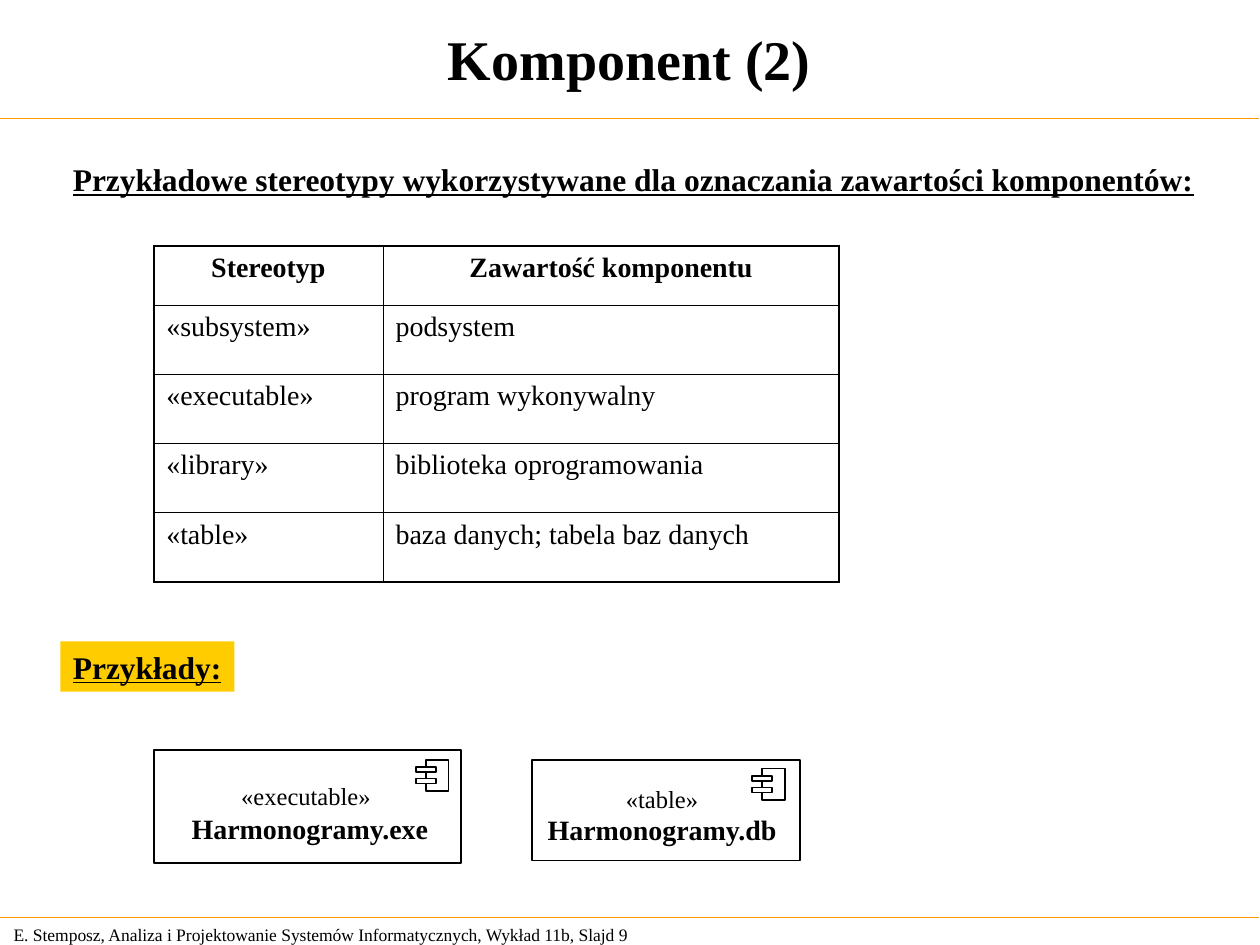
from pptx import Presentation
from pptx.dml.color import RGBColor
from pptx.enum.shapes import MSO_CONNECTOR as Link, MSO_SHAPE as Shape
from pptx.enum.text import MSO_ANCHOR as Anchor, PP_ALIGN as Align
from pptx.oxml.ns import qn
from pptx.util import Inches, Pt
from lxml.etree import SubElement

FONT = "Times New Roman"
BLACK, WHITE, ORANGE, YELLOW = "000000", "FFFFFF", "FF9900", "FFCC00"
STEREOTYPES = [
    ("Stereotyp", "Zawartość komponentu"),
    ("«subsystem»", "podsystem"),
    ("«executable»", "program wykonywalny"),
    ("«library»", "biblioteka oprogramowania"),
    ("«table»", "baza danych; tabela baz danych"),
]


def color(code):
    return RGBColor.from_string(code)


def inches(*values):
    return [Inches(v) for v in values]


def add_run(para, text, size, bold=False, under=False):
    run = para.add_run()
    run.text = text
    font = run.font
    font.name, font.size = FONT, Pt(size)
    font.bold, font.underline = bold, under
    font.color.rgb = color(BLACK)


def add_text(slide, box, lines, align=Align.LEFT, wrap=False, anchor=Anchor.TOP):
    """Each line is a list of runs: (text, size, bold, underline)."""
    shape = slide.shapes.add_textbox(*inches(*box))
    frame = shape.text_frame
    frame.word_wrap, frame.vertical_anchor = wrap, anchor
    for i, runs in enumerate(lines):
        para = frame.add_paragraph() if i else frame.paragraphs[0]
        para.alignment = align
        for run in runs:
            add_run(para, *run)
    return shape


def add_rect(slide, box, fill=None):
    rect = slide.shapes.add_shape(Shape.RECTANGLE, *inches(*box))
    rect.shadow.inherit = False
    if fill:
        rect.fill.solid()
        rect.fill.fore_color.rgb = color(fill)
    else:
        rect.fill.background()
    rect.line.color.rgb = color(BLACK)
    rect.line.width = Pt(1)


def add_rule(slide, top):
    rule = slide.shapes.add_connector(
        Link.STRAIGHT, *inches(-0.01, top, 9.99, top))
    rule.line.color.rgb = color(ORANGE)
    rule.line.width = Pt(0.75)
    SubElement(rule._element.spPr, qn("a:effectLst"))


def add_title(slide, box, text):
    title = slide.shapes.title
    title.left, title.top, title.width, title.height = inches(*box)
    frame = title.text_frame
    frame.vertical_anchor = Anchor.MIDDLE
    para = frame.paragraphs[0]
    para.alignment = Align.CENTER
    add_run(para, text, 32, True)


def add_borders(cell, widths):
    props = cell._tc.get_or_add_tcPr()
    for i, (side, width) in enumerate(widths.items()):
        line = props.makeelement(qn(f"a:ln{side}"), {"w": str(Pt(width))})
        fill = SubElement(line, qn("a:solidFill"))
        SubElement(fill, qn("a:srgbClr"), val=BLACK)
        props.insert(i, line)


def add_grid(slide, box, rows, widths, heights):
    table = slide.shapes.add_table(
        len(rows), len(widths), *inches(*box)).table
    for col, width in zip(table.columns, widths):
        col.width = Inches(width)
    for row, height in zip(table.rows, heights):
        row.height = Inches(height)
    thin, thick = 0.45, 1.08
    for r, texts in enumerate(rows):
        for c, text in enumerate(texts):
            cell = table.cell(r, c)
            cell.fill.background()
            para = cell.text_frame.paragraphs[0]
            para.alignment = Align.LEFT if r else Align.CENTER
            add_run(para, text, 16, r == 0)
            edges = {"L": c == 0, "R": c == len(texts) - 1,
                     "T": r == 0, "B": r == len(rows) - 1}
            add_borders(cell, {s: thick if outer else thin
                               for s, outer in edges.items()})


def add_icon(slide, left, top):
    """UML component mark: a body with two tabs."""
    add_rect(slide, (left + 0.08, top, 0.18, 0.25))
    for drop in (0.06, 0.15):
        add_rect(slide, (left, top + drop, 0.16, 0.04), WHITE)


def add_component(slide, box, label, icon, kind, name, wrap=False):
    add_rect(slide, box)
    left, top = box[:2]
    dx, dy, width, height = label
    add_text(slide, (left + dx, top + dy, width, height),
             [kind, [(name, 16, True)]], Align.CENTER, wrap)
    add_icon(slide, left + icon[0], top + icon[1])


def main():
    deck = Presentation()
    deck.slide_width, deck.slide_height = inches(10, 7.5)
    slide = deck.slides.add_slide(deck.slide_layouts[5])

    add_text(slide, (0.01, 7.28, 5.24, 0.27),
             [[("E. Stemposz, Analiza i Projektowanie Systemów "
                "Informatycznych, Wykład 11b, Slajd 9", 10)]],
             wrap=True, anchor=Anchor.MIDDLE)
    for top in (0.94, 7.28):
        add_rule(slide, top)
    add_title(slide, (0, 0, 9.99, 0.92), "Komponent (2)")
    add_text(slide, (0.48, 1.22, 9.1, 0.4),
             [[("Przykładowe stereotypy wykorzystywane dla oznaczania "
                "zawartości komponentów:", 18, True, True)]])
    add_grid(slide, (1.22, 1.95, 5.44, 2.67), STEREOTYPES,
             (1.82, 3.62), [0.47] + [0.55] * 4)

    add_component(slide, (1.22, 5.95, 2.44, 0.9), (-0.12, 0.14, 2.72, 0.67),
                  (2.08, 0.08), [("«executable»", 14), (" ", 18)],
                  "Harmonogramy.exe", wrap=True)
    add_component(slide, (4.22, 6.03, 2.13, 0.8), (0.02, 0.14, 2.03, 0.6),
                  (1.75, 0.07), [("«table»", 14)], "Harmonogramy.db")
    heading = add_text(slide, (0.48, 5.09, 1.38, 0.4),
                       [[("Przykłady:", 18, True, True)]])
    heading.fill.solid()
    heading.fill.fore_color.rgb = color(YELLOW)

    deck.save("out.pptx")


if __name__ == "__main__":
    main()
